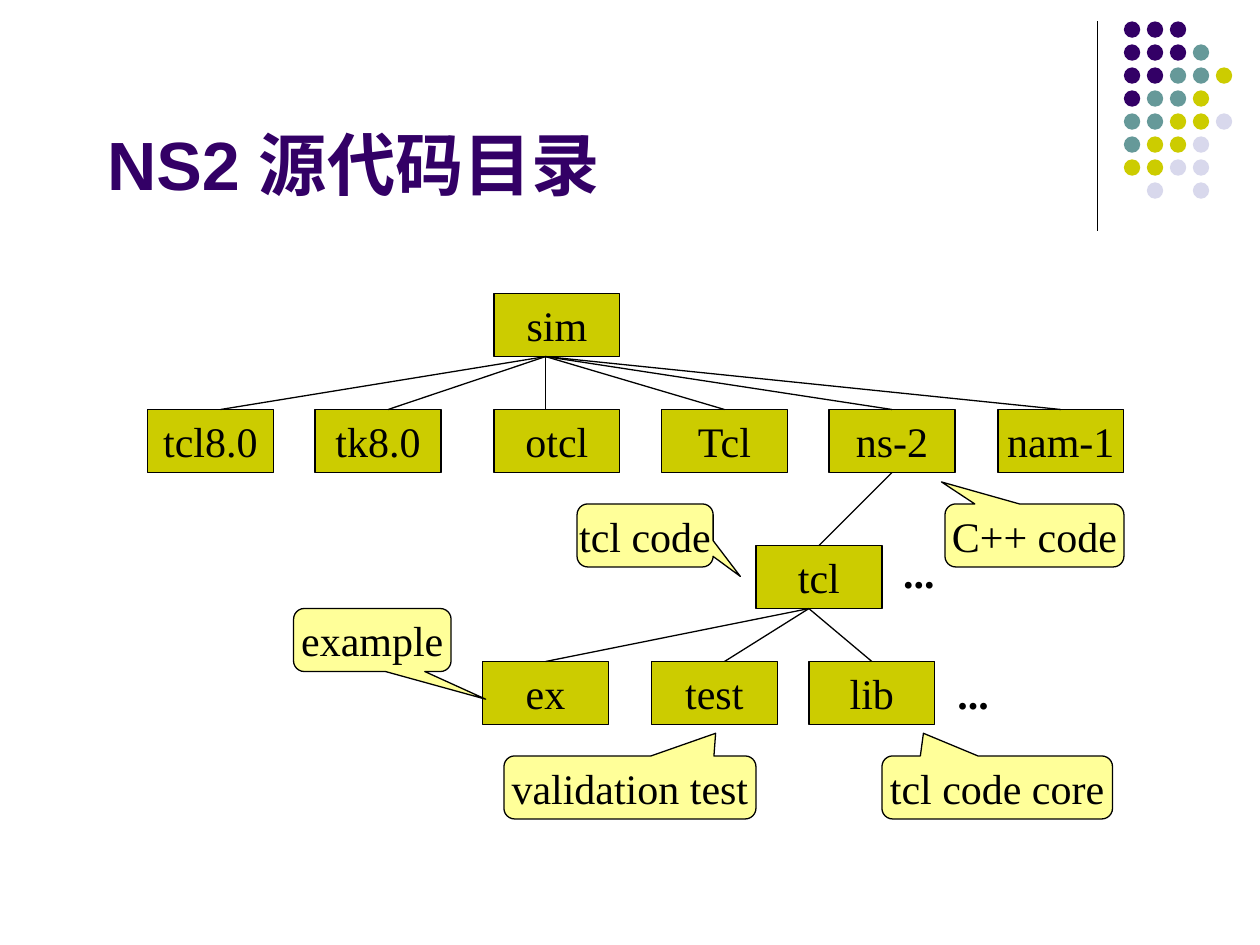
import pptx
import pptx.util
import pptx.dml.color
import pptx.enum.shapes
import pptx.enum.text
import pptx.oxml.ns
import lxml.etree

Inches = pptx.util.Inches
Pt = pptx.util.Pt
RGBColor = pptx.dml.color.RGBColor
SHAPE = pptx.enum.shapes.MSO_SHAPE
ANCHOR = pptx.enum.text.MSO_ANCHOR
ALIGN = pptx.enum.text.PP_ALIGN
AUTO_SIZE = pptx.enum.text.MSO_AUTO_SIZE

PURPLE = RGBColor(0x33, 0x00, 0x66)
TEAL = RGBColor(0x66, 0x99, 0x99)
OLIVE = RGBColor(0xCC, 0xCC, 0x00)
LAVENDER = RGBColor(0xD8, 0xD8, 0xEC)
YELLOW = RGBColor(0xFF, 0xFF, 0x99)
BLACK = RGBColor(0x00, 0x00, 0x00)

deck = pptx.Presentation()
deck.slide_width = Inches(10)
deck.slide_height = Inches(7.5)
page = deck.slides.add_slide(deck.slide_layouts[5])


def add_label(kind, text, left, top, width, fill):
    box = page.shapes.add_shape(kind, Inches(left), Inches(top), Inches(width), Inches(0.5))
    box.shadow.inherit = False
    box.fill.solid()
    box.fill.fore_color.rgb = fill
    box.line.color.rgb = BLACK
    box.line.width = Pt(0.75)
    frame = box.text_frame
    frame.text = text
    frame.word_wrap = False
    frame.vertical_anchor = ANCHOR.MIDDLE
    para = frame.paragraphs[0]
    para.alignment = ALIGN.CENTER
    font = para.runs[0].font
    font.name = "Times New Roman"
    font.size = Pt(24)
    font.color.rgb = BLACK
    return box


def add_line(x1, y1, x2, y2):
    line = page.shapes.add_connector(
        pptx.enum.shapes.MSO_CONNECTOR.STRAIGHT, Inches(x1), Inches(y1), Inches(x2), Inches(y2))
    line.line.color.rgb = BLACK
    line.line.width = Pt(0.75)
    lxml.etree.SubElement(line._element.spPr, pptx.oxml.ns.qn("a:effectLst"))
    return line


add_line(8.71, 0.17, 8.71, 1.83)

dot_colors = {"P": PURPLE, "T": TEAL, "O": OLIVE, "L": LAVENDER}
dot_rows = ["PPP", "PPPT", "PPTTO", "PTTO", "TTOOL", "TOOL", "OOLL", " L L"]
dot_pitch = 0.73 / 4
for row, pattern in enumerate(dot_rows):
    for column, key in enumerate(pattern):
        if key in dot_colors:
            dot = page.shapes.add_shape(
                SHAPE.OVAL, Inches(8.92 + column * dot_pitch), Inches(0.17 + row * dot_pitch),
                Inches(0.13), Inches(0.13))
            dot.shadow.inherit = False
            dot.fill.solid()
            dot.fill.fore_color.rgb = dot_colors[key]
            dot.line.fill.background()

title = page.shapes.title
title.left, title.top = Inches(0.75), Inches(0.67)
title.width, title.height = Inches(8.5), Inches(1.25)
title.text_frame.text = "NS2 源代码目录"
title.text_frame.auto_size = AUTO_SIZE.NONE
title.text_frame.vertical_anchor = ANCHOR.MIDDLE
title_para = title.text_frame.paragraphs[0]
title_para.alignment = ALIGN.LEFT
title_font = title_para.runs[0].font
title_font.name = "Arial"
title_font.size = Pt(39)
title_font.bold = True
title_font.color.rgb = PURPLE

directories = [
    ("sim", 3.92, 2.33),
    ("tcl8.0", 1.17, 3.25),
    ("tk8.0", 2.5, 3.25),
    ("otcl", 3.92, 3.25),
    ("Tcl", 5.25, 3.25),
    ("ns-2", 6.58, 3.25),
    ("nam-1", 7.92, 3.25),
    ("tcl", 6, 4.33),
    ("ex", 3.83, 5.25),
    ("test", 5.17, 5.25),
    ("lib", 6.42, 5.25),
]
nodes = {}
for name, left, top in directories:
    nodes[name] = add_label(SHAPE.RECTANGLE, name, left, top, 1, OLIVE)

branches = [
    (4.33, 2.83, 3.25, [("tcl8.0", 1.75), ("tk8.0", 3.08), ("otcl", 4.33),
                        ("Tcl", 5.75), ("ns-2", 7.08), ("nam-1", 8.42)]),
    (6.42, 4.83, 5.25, [("ex", 4.33), ("test", 5.75), ("lib", 6.92)]),
]
for start_x, start_y, end_y, children in branches:
    for name, end_x in children:
        branch = add_line(start_x, start_y, end_x, end_y)
        node = nodes[name]
        if abs(node.left + node.width / 2 - Inches(end_x)) < Inches(0.02):
            branch.end_connect(node, 0)

branch = add_line(7.08, 3.75, 6.5, 4.33)
branch.begin_connect(nodes["ns-2"], 2)
branch.end_connect(nodes["tcl"], 0)

for left, top in [(7.07, 4.29), (7.5, 5.25)]:
    more = page.shapes.add_textbox(Inches(left), Inches(top), Inches(0.45), Inches(0.5))
    more.text_frame.text = "..."
    more.text_frame.word_wrap = False
    more.text_frame.auto_size = AUTO_SIZE.SHAPE_TO_FIT_TEXT
    more_font = more.text_frame.paragraphs[0].runs[0].font
    more_font.name = "Times New Roman"
    more_font.size = Pt(24)
    more_font.bold = True
    more_font.color.rgb = BLACK

callouts = [
    ("tcl code", 4.58, 4, 1.08, 0.7, 0.65),
    ("example", 2.33, 4.83, 1.25, 0.72, 0.94),
    ("validation test", 4, 6, 2, 0.34, -0.86),
    ("C++ code", 7.5, 4, 1.42, -0.52, -0.85),
    ("tcl code core", 7, 6, 1.83, -0.32, -0.86),
]
for text, left, top, width, tip_x, tip_y in callouts:
    callout = add_label(SHAPE.ROUNDED_RECTANGULAR_CALLOUT, text, left, top, width, YELLOW)
    callout.adjustments[0] = tip_x
    callout.adjustments[1] = tip_y
    callout.adjustments[2] = 0.17

deck.save("out.pptx")
